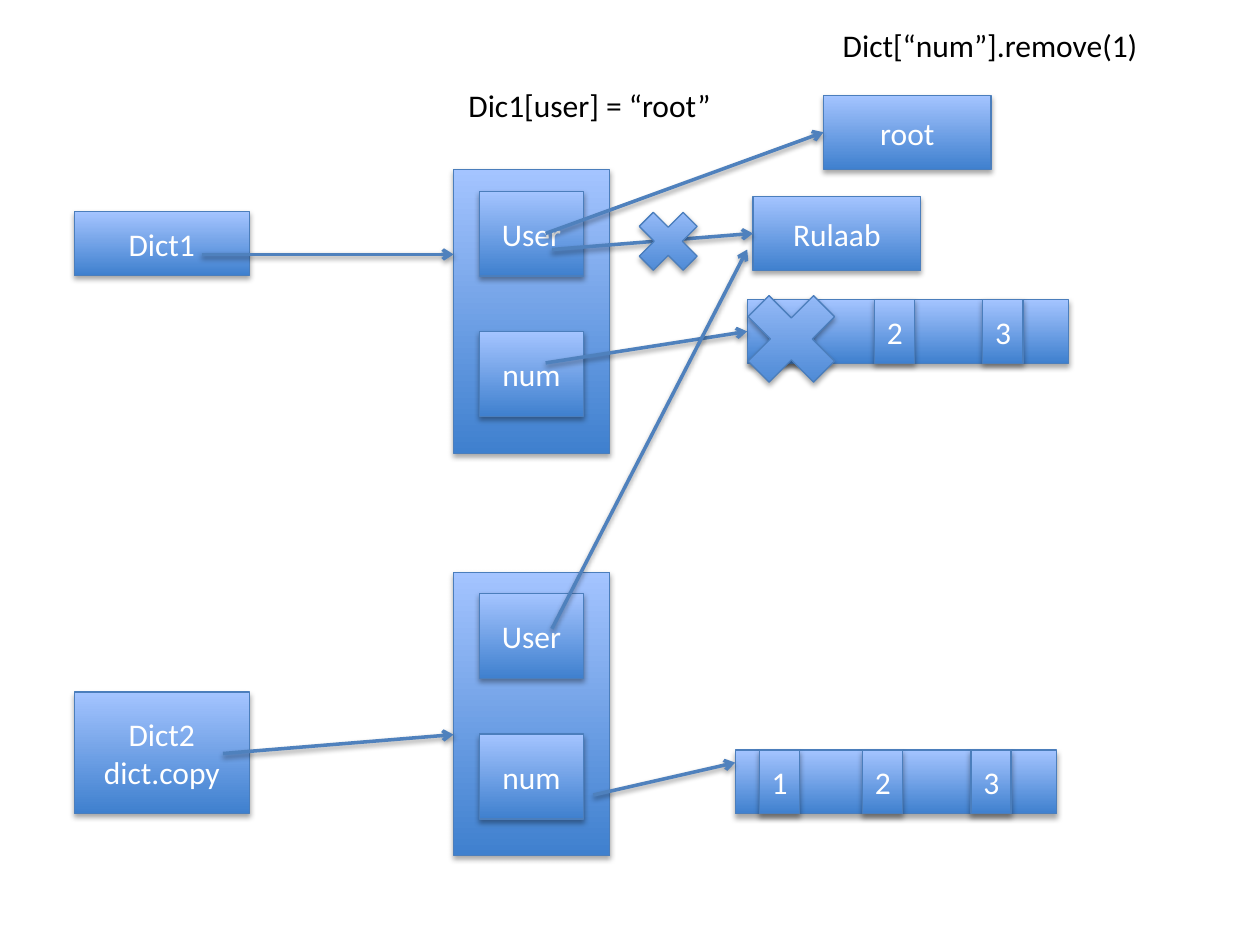
from lxml.etree import SubElement
from pptx import Presentation
from pptx.dml.color import RGBColor
from pptx.enum.shapes import MSO_CONNECTOR, MSO_SHAPE
from pptx.enum.text import MSO_ANCHOR, MSO_AUTO_SIZE, PP_ALIGN
from pptx.oxml.ns import qn
from pptx.util import Pt

BOTTOM = RGBColor(0x3F, 0x80, 0xCE)
TOP = RGBColor(0xA4, 0xC4, 0xFF)
EDGE = RGBColor(0x4B, 0x7E, 0xBC)
ARROW = RGBColor(0x4F, 0x81, 0xBD)
WHITE = RGBColor(0xFF, 0xFF, 0xFF)
BLACK = RGBColor(0, 0, 0)

FONT = {"name": "Calibri", "size": Pt(18)}
LABEL = {"word_wrap": False, "auto_size": MSO_AUTO_SIZE.SHAPE_TO_FIT_TEXT}
BOX = {"word_wrap": True, "vertical_anchor": MSO_ANCHOR.MIDDLE}


def set_attrs(obj, values):
    """Set each attribute of an object from a dict."""
    for name, value in values.items():
        setattr(obj, name, value)


def write(tf, text, color, align, frame):
    """Fill a text frame, one paragraph per line of text."""
    set_attrs(tf, frame)
    tf.text = text
    for p in tf.paragraphs:
        p.alignment = align
        for r in p.runs:
            set_attrs(r.font, FONT)
            r.font.color.rgb = color


def add_shadow(sp, distance, alpha):
    """Give a shape or connector a soft shadow below it."""
    effects = SubElement(sp._element.spPr, qn("a:effectLst"))
    shadow = SubElement(effects, qn("a:outerShdw"), blurRad=str(Pt(3.1)),
                        dist=str(Pt(distance)), dir="5400000", rotWithShape="0")
    color = SubElement(shadow, qn("a:srgbClr"), val="000000")
    SubElement(color, qn("a:alpha"), val=str(alpha * 1000))


def add_box(s, x, y, w, h, text="", kind=MSO_SHAPE.RECTANGLE):
    """Add a shape with the blue gradient and optional centred text."""
    sp = s.shapes.add_shape(kind, Pt(x), Pt(y), Pt(w), Pt(h))
    sp.fill.gradient()
    sp.fill.gradient_angle = 90
    for stop, color, position in zip(sp.fill.gradient_stops, (BOTTOM, TOP), (0, 1)):
        stop.color.rgb = color
        stop.position = position
    sp.line.color.rgb = EDGE
    sp.line.width = Pt(0.75)
    add_shadow(sp, 1.8, 35)
    if text:
        write(sp.text_frame, text, WHITE, PP_ALIGN.CENTER, BOX)


def add_arrow(s, x1, y1, x2, y2):
    """Add a straight arrow between two points."""
    sp = s.shapes.add_connector(MSO_CONNECTOR.STRAIGHT, Pt(x1), Pt(y1), Pt(x2), Pt(y2))
    sp.line.color.rgb = ARROW
    sp.line.width = Pt(2)
    SubElement(sp.line._get_or_add_ln(), qn("a:tailEnd"), type="arrow")
    add_shadow(sp, 1.6, 38)


def add_label(s, x, y, w, text):
    """Add a line of black text."""
    sp = s.shapes.add_textbox(Pt(x), Pt(y), Pt(w), Pt(29))
    write(sp.text_frame, text, BLACK, PP_ALIGN.LEFT, LABEL)


def add_dict(s, y):
    """Add a dictionary column with its two keys."""
    add_box(s, 259.2, y, 89.3, 162)
    for dy, key in ((12.3, "User"), (92.5, "num")):
        add_box(s, 274, y + dy, 59.4, 48.5, key)


def add_list(s, x, y):
    """Add a list bar with its three items."""
    add_box(s, x, y, 183.6, 36.5)
    for dx, item in ((13.7, "1"), (72.7, "2"), (134.6, "3")):
        add_box(s, x + dx, y, 23, 36.5, item)


def add_cross(s, x, y, size):
    """Add a cross that strikes something out."""
    add_box(s, x, y, size, size, kind=MSO_SHAPE.MATH_MULTIPLY)


def main():
    """Build the slide and save it."""
    prs = Presentation()
    set_attrs(prs, {"slide_width": Pt(720), "slide_height": Pt(540)})
    s = prs.slides.add_slide(prs.slide_layouts[6])

    add_box(s, 42.5, 121, 100, 36.5, "Dict1")
    add_box(s, 42.5, 395.5, 100, 69.5, "Dict2\ndict.copy")
    for y in (97, 327):
        add_dict(s, y)
    add_box(s, 430.3, 112.3, 95.8, 42.4, "Rulaab")
    for x, y in ((427, 171.2), (420.2, 428.6)):
        add_list(s, x, y)
    add_box(s, 470.6, 54.6, 95.8, 42.4, "root")

    for ends in (
        (115.2, 145.4, 259.2, 145.4),
        (315.4, 142.6, 430.3, 133.4),
        (311.8, 207.4, 427, 189.4),
        (127.4, 430.6, 259.2, 419.8),
        (339.1, 454.3, 420.2, 435.8),
        (315.4, 359.3, 427, 142.6),
        (311.8, 133.4, 470.6, 75.6),
    ):
        add_arrow(s, *ends)

    add_cross(s, 357.8, 113.8, 48.2)
    add_cross(s, 416.2, 157.7, 72)
    add_label(s, 260.6, 45.4, 154, "Dic1[user] = “root”")
    add_label(s, 474.5, 11.5, 185, "Dict[“num”].remove(1)")
    prs.save("out.pptx")


if __name__ == "__main__":
    main()
